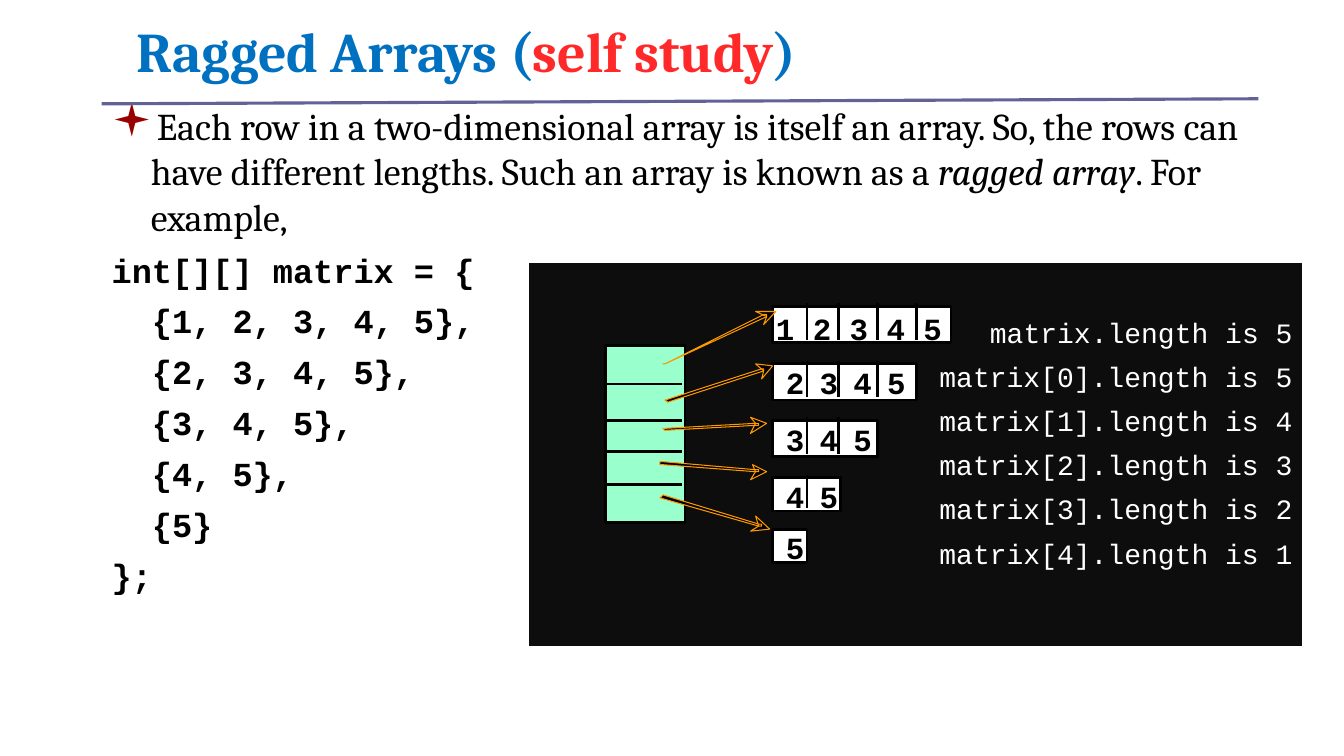
from lxml import etree
from pptx import Presentation
from pptx import util as u
from pptx.dml.color import RGBColor
from pptx.enum import shapes, text
from pptx.oxml.ns import qn

SERIF, MONO = "Cambria", "Courier New"
BLACK, WHITE, ORANGE = "000000", "FFFFFF", "FF9900"

CODE = """int[][] matrix = {
  {1, 2, 3, 4, 5},
  {2, 3, 4, 5},
  {3, 4, 5},
  {4, 5},
  {5}
};""".split("\n")

REFERENCE_DIVIDERS = [3.81, 4.17, 4.48, 4.81]
CELL_EDGES = [8.01, 8.32, 8.71, 9.1]
# Top, width and height of each row of the ragged array
ROWS = [(3.04, 1.77, 0.36), (3.61, 1.43, 0.36), (4.17, 1.04, 0.36),
        (4.74, 0.67, 0.33), (5.25, 0.34, 0.33)]
# Shaft and head outlines of each arrow, in hundredths of an inch
ARROWS = [
    ([(660, 361), (758, 312), (761, 312), (761, 314), (660, 361), (658, 361)],
     [(761, 314), (750, 309), (770, 309), (758, 322)]),
    ([(660, 397), (756, 366), (758, 366), (758, 368), (663, 399)],
     [(758, 368), (750, 361), (767, 363), (756, 376)]),
    ([(660, 425), (750, 420), (753, 420), (753, 422), (750, 422), (660, 427), (658, 425)],
     [(750, 420), (745, 414), (761, 420), (745, 430)]),
    ([(658, 458), (750, 466), (753, 466), (753, 468), (750, 468), (658, 461),
      (655, 461), (655, 458)],
     [(750, 468), (747, 461), (761, 468), (745, 476)]),
    ([(658, 491), (753, 520), (756, 520), (756, 522), (753, 522), (655, 494)],
     [(753, 522), (750, 512), (764, 525), (745, 527)]),
]


def color(value):
    return RGBColor.from_string(value)


class SlideBuilder:
    def __init__(self, slide):
        self.shapes = slide.shapes

    def style(self, shape, fill, line, width):
        shape.shadow.inherit = False
        shape.fill.solid()
        shape.fill.fore_color.rgb = color(fill)
        shape.line.color.rgb = color(line)
        shape.line.width = u.Pt(width)

    def rectangle(self, left, top, width, height, fill, line=BLACK, line_width=2):
        shape = self.shapes.add_shape(
            shapes.MSO_SHAPE.RECTANGLE, *map(u.Inches, (left, top, width, height)))
        self.style(shape, fill, line, line_width)
        return shape

    def line(self, x1, y1, x2, y2, line=BLACK, width=2):
        connector = self.shapes.add_connector(
            shapes.MSO_CONNECTOR.STRAIGHT, *map(u.Inches, (x1, y1, x2, y2)))
        connector.line.color.rgb = color(line)
        connector.line.width = u.Pt(width)
        etree.SubElement(connector._element.spPr, qn("a:effectLst"))

    def arrow(self, shaft, head):
        builder = self.shapes.build_freeform(*shaft[0], scale=u.Inches(0.01))
        builder.add_line_segments(shaft[1:], close=True)
        builder.move_to(*head[0])
        builder.add_line_segments(head[1:], close=True)
        self.style(builder.convert_to_shape(), BLACK, ORANGE, 0)

    def text_box(self, left, top, width, height, wrap=True, inset=True):
        frame = self.shapes.add_textbox(
            *map(u.Inches, (left, top, width, height))).text_frame
        frame.word_wrap = wrap
        if not inset:
            frame.margin_left = frame.margin_right = 0
            frame.margin_top = frame.margin_bottom = 0
        return frame

    def paragraph(self, frame, content, size, font, fill=BLACK, bold=False,
                  align=text.PP_ALIGN.LEFT, before=0, bullet=None):
        """Fill the frame's empty first paragraph, or add another one."""
        paragraph = frame.paragraphs[0]
        if paragraph.runs:
            paragraph = frame.add_paragraph()
            paragraph.space_before = u.Pt(before)
        paragraph.alignment = align
        if bullet:
            self.bullet(paragraph, bullet)
        for part in content if isinstance(content, list) else [content]:
            paragraph.add_run().text = part
        paragraph.font.size = u.Pt(size)
        paragraph.font.name = font
        paragraph.font.bold = bold
        paragraph.font.color.rgb = color(fill)
        return paragraph

    def bullet(self, paragraph, fill):
        properties = paragraph._p.get_or_add_pPr()
        properties.set("marL", str(u.Inches(0.39)))
        properties.set("indent", str(-u.Inches(0.39)))
        bullet_color = etree.SubElement(properties, qn("a:buClr"))
        etree.SubElement(bullet_color, qn("a:srgbClr"), val=fill)
        etree.SubElement(properties, qn("a:buSzPct"), val="120000")
        etree.SubElement(properties, qn("a:buFont"), typeface="Wingdings")
        etree.SubElement(properties, qn("a:buChar"), char="▪")

    def digits(self, content, left, top, width):
        frame = self.text_box(left, top, width, 0.37, wrap=False, inset=False)
        self.paragraph(frame, content, 22, MONO, bold=True, align=text.PP_ALIGN.CENTER)


def add_title_and_code(builder):
    title = builder.text_box(1.26, 0.21, 8.48, 0.67)
    title.vertical_anchor = text.MSO_ANCHOR.BOTTOM
    heading = builder.paragraph(title, ["Ragged Arrays (", "self study", ")"],
                                40, SERIF, "0070C0", bold=True)
    heading.line_spacing = 0.8
    heading.runs[1].font.color.rgb = color("FF2929")

    body = builder.text_box(1.01, 0.97, 11.66, 5.58)
    intro = builder.paragraph(body, [
        "Each row in a two-dimensional array is itself an array. So, the rows can "
        "have different lengths. Such an array is known as a ",
        "ragged array", ". For example,"], 27, SERIF, bullet="990000")
    intro.runs[1].font.italic = True
    for code_line in CODE:
        builder.paragraph(body, code_line, 24, MONO, bold=True, before=7.5)


def add_diagram(builder):
    panel = builder.rectangle(5.24, 2.6, 7.69, 3.82, "0D0D0D", WHITE, 1).text_frame
    panel.word_wrap = False
    panel.vertical_anchor = text.MSO_ANCHOR.MIDDLE
    panel.margin_bottom = u.Inches(0.29)
    lengths = ["matrix.length is 5"]
    lengths += [f"matrix[{row}].length is {5 - row}" for row in range(5)]
    for length in lengths:
        builder.paragraph(panel, length, 20, MONO, WHITE,
                          align=text.PP_ALIGN.RIGHT, before=7.5)

    builder.rectangle(6.01, 3.43, 0.79, 1.75, "99FFCC")
    for y in REFERENCE_DIVIDERS:
        builder.line(6.01, y, 6.77, y)

    for row, (top, width, height) in enumerate(ROWS):
        builder.rectangle(7.67, top, width, height, WHITE)
        if row == 0:
            builder.digits("1 2 3 4 5", 7.7, 3.07, 1.65)
        else:
            for column, value in enumerate(range(row + 1, 6)):
                builder.digits(str(value), 7.8 + column * 0.335, top, 0.18)
        for x in CELL_EDGES[:4 - row]:
            builder.line(x, top - 0.03, x, top + height - 0.03)
    for shaft, head in ARROWS:
        builder.arrow(shaft, head)


def main():
    presentation = Presentation()
    presentation.slide_width = u.Inches(13.34)
    presentation.slide_height = u.Inches(7.5)
    builder = SlideBuilder(presentation.slides.add_slide(presentation.slide_layouts[6]))
    add_title_and_code(builder)
    add_diagram(builder)
    builder.line(1.01, 1.03, 12.49, 0.98, "626297", 2.25)
    presentation.save("out.pptx")


if __name__ == "__main__":
    main()
